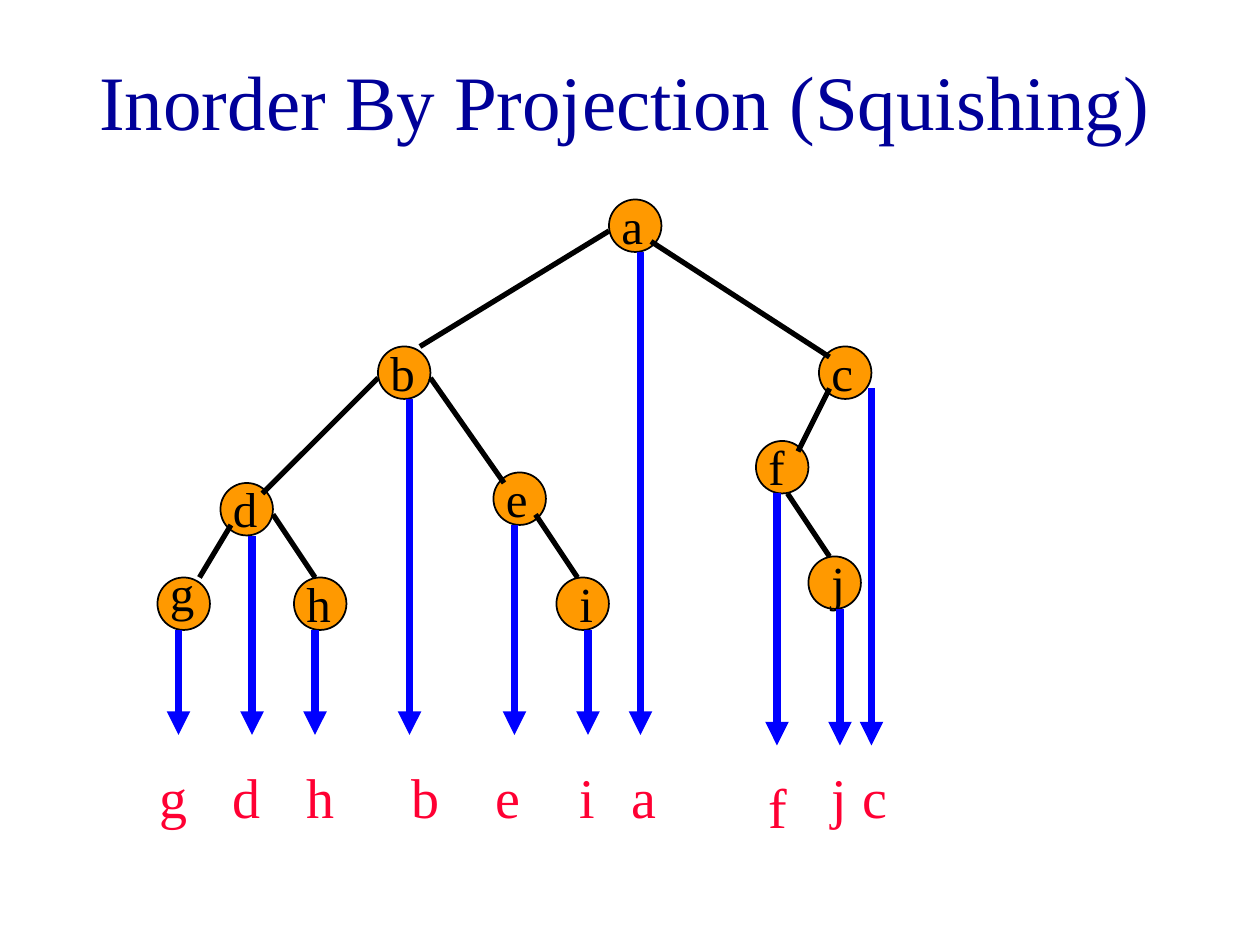
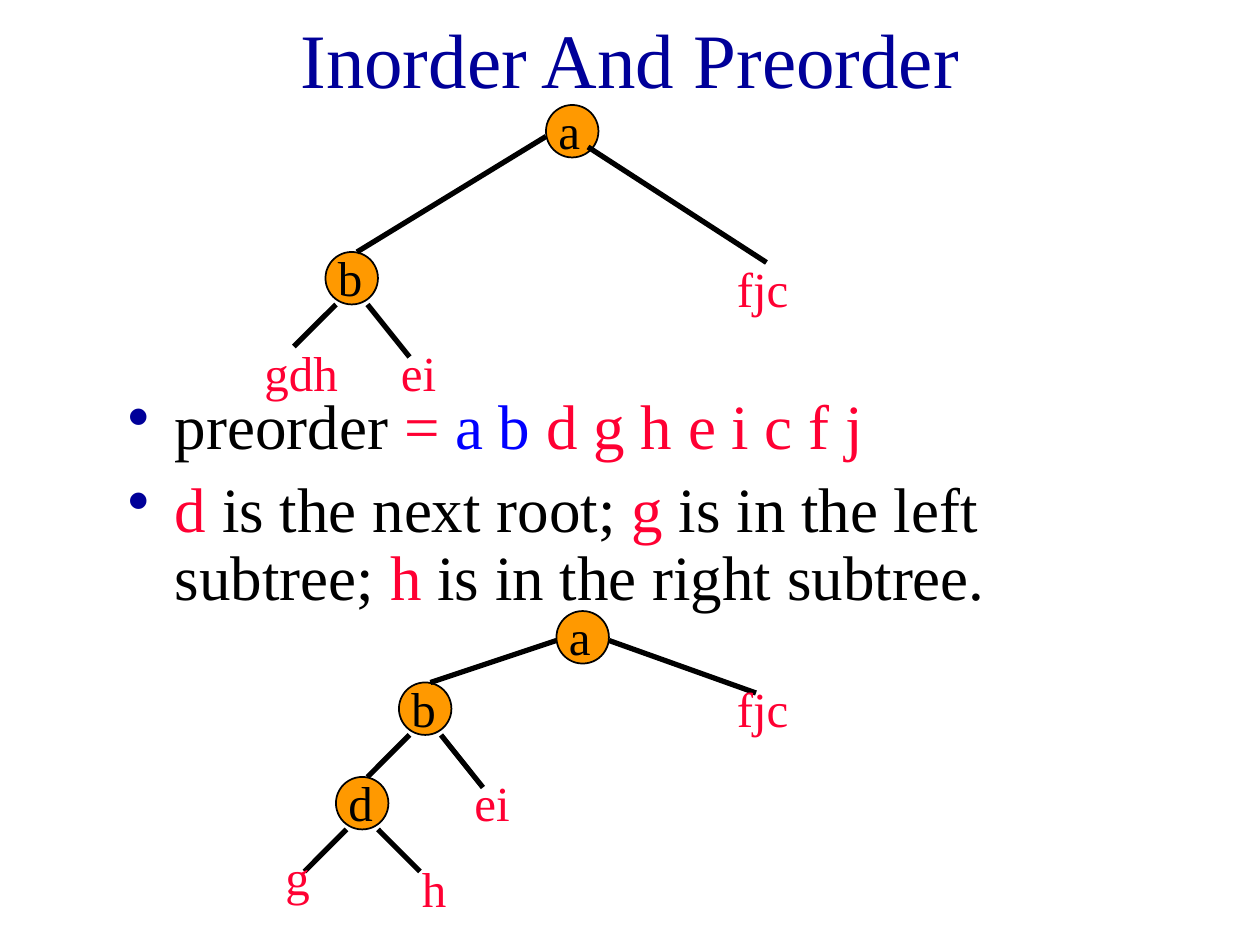
"""Build two slides on rebuilding a binary tree from its traversals."""
from dataclasses import dataclass

from lxml import etree
from pptx import Presentation
from pptx.dml.color import RGBColor
from pptx.enum.shapes import MSO_CONNECTOR, MSO_SHAPE
from pptx.enum.text import MSO_ANCHOR, PP_ALIGN
from pptx.oxml.ns import qn
from pptx.util import Cm, Pt

STRAIGHT = MSO_CONNECTOR.STRAIGHT
OVAL = MSO_SHAPE.OVAL
TOP, MIDDLE = MSO_ANCHOR.TOP, MSO_ANCHOR.MIDDLE
LEFT, CENTER = PP_ALIGN.LEFT, PP_ALIGN.CENTER


@dataclass(frozen=True)
class Theme:
    font: str = "Times New Roman"
    navy: str = "000099"
    black: str = "000000"
    orange: str = "FF9900"
    red: str = "FF0033"
    blue: str = "0000FF"
    title_size: int = 44
    body_size: int = 36
    output_size: int = 32
    label_size: int = 28
    outline: float = 1
    edge: float = 3
    projection: float = 4.5


THEME = Theme()

# Every position below counts twelfths of an inch.
NODE_SIZE = 5
LABEL_WIDTH, LABEL_HEIGHT = 10, 6.8
LABEL_SHIFT = (0, -1)

PROJECTION_TITLE = ("Inorder By Projection (Squishing)", (4, 2, 111, 15))
PREORDER_TITLE = ("Inorder And Preorder", (9, 2, 102, 7))

FULL_TREE = {
    "nodes": {
        "a": (58, 19), "b": (36, 33), "c": (78, 33), "d": (21, 46), "e": (47, 45),
        "f": (72, 42), "g": (15, 55), "h": (28, 55), "i": (53, 55), "j": (77, 53),
    },
    "shifts": {"g": (0, -2), "i": (1, -1), "j": (1, -1)},
    "edges": [
        (58, 22, 40, 33), (62, 23, 79, 34), (36, 36, 25, 47),
        (41, 36, 48, 46), (79, 37, 76, 43), (22, 50, 19, 55),
        (26, 49, 30, 55), (51, 49, 55, 55), (75, 47, 79, 53),
    ],
}

# Letter, its left and top, then the arrow's x, start and end.
INORDER = [
    ("g", 14, 72, 17, 60, 70), ("d", 21, 72, 24, 51, 70),
    ("h", 28, 72, 30, 60, 70), ("b", 38, 72, 39, 38, 70),
    ("e", 46, 72, 49, 50, 70), ("i", 54, 72, 56, 60, 70),
    ("a", 59, 72, 61, 24, 70), ("f", 72, 73, 74, 47, 71),
    ("j", 78, 72, 80, 58, 71), ("c", 81, 72, 83, 37, 71),
]

TREE_BEFORE = {
    "nodes": {"a": (52, 10), "b": (31, 24)},
    "edges": [(52, 13, 34, 24), (56, 14, 73, 25), (32, 29, 28, 33), (35, 29, 39, 34)],
    "subtrees": {"gdh": (24, 32), "ei": (37, 32), "fjc": (69, 24)},
}

TREE_AFTER = {
    "nodes": {"a": (53, 58.2), "b": (38, 65), "d": (32, 74)},
    "edges": [
        (53, 61, 41, 65), (58, 61, 72, 66), (39, 70, 35, 74),
        (42, 70, 46, 75), (33, 79, 29, 83), (36, 79, 40, 83),
    ],
    "subtrees": {"g": (26, 80), "h": (39, 81.2), "ei": (44, 73), "fjc": (69, 64)},
}

STEP_BOX = (11, 37, 102, 24)
STEPS = [
    [("preorder", THEME.black), (" = ", THEME.red), ("a b", THEME.blue),
     (" d g h e i c f j", THEME.red)],
    [("d", THEME.red), (" is the next root; ", THEME.black), ("g", THEME.red),
     (" is in the left subtree; ", THEME.black), ("h", THEME.red),
     (" is in the right subtree.", THEME.black)],
]


def grid(twelfths):
    return Cm(twelfths * 2.54 / 12)


def rgb(color):
    return RGBColor.from_string(color)


def add_bullet(paragraph):
    properties = paragraph._p.get_or_add_pPr()
    properties.set("marL", str(Cm(0.95)))
    properties.set("indent", str(-Cm(0.95)))
    bullet_color = etree.SubElement(properties, qn("a:buClr"))
    etree.SubElement(bullet_color, qn("a:srgbClr"), val=THEME.navy)
    etree.SubElement(properties, qn("a:buChar"), char="•")


def add_text(slide, content, box, *, size=THEME.label_size, color=THEME.black,
             align=LEFT, anchor=TOP, bullets=False):
    """Write a string, or a list of paragraphs made of (text, color) runs."""
    frame = slide.shapes.add_textbox(*map(grid, box)).text_frame
    frame.word_wrap = True
    frame.vertical_anchor = anchor
    paragraphs = [[(content, color)]] if isinstance(content, str) else content
    for index, runs in enumerate(paragraphs):
        paragraph = frame.add_paragraph() if index else frame.paragraphs[0]
        paragraph.alignment = align
        if bullets:
            paragraph.line_spacing = 0.9
            paragraph.space_before = Pt(9)
            add_bullet(paragraph)
        for text, run_color in runs:
            run = paragraph.add_run()
            run.text = text
            run.font.name = THEME.font
            run.font.size = Pt(size)
            run.font.color.rgb = rgb(run_color)


def add_line(slide, ends, color, width, arrow=False):
    connector = slide.shapes.add_connector(STRAIGHT, *map(grid, ends))
    connector.line.color.rgb = rgb(color)
    connector.line.width = Pt(width)
    if arrow:
        etree.SubElement(connector.line._get_or_add_ln(), qn("a:tailEnd"), type="triangle")
    etree.SubElement(connector._element.spPr, qn("a:effectLst"))


def add_node(slide, left, top):
    node = slide.shapes.add_shape(OVAL, *map(grid, (left, top, NODE_SIZE, NODE_SIZE)))
    node.shadow.inherit = False
    node.fill.solid()
    node.fill.fore_color.rgb = rgb(THEME.orange)
    node.line.color.rgb = rgb(THEME.black)
    node.line.width = Pt(THEME.outline)


def add_tree(slide, tree):
    for left, top in tree["nodes"].values():
        add_node(slide, left, top)
    for ends in tree["edges"]:
        add_line(slide, ends, THEME.black, THEME.edge)
    for letter, (left, top) in tree["nodes"].items():
        dx, dy = tree.get("shifts", {}).get(letter, LABEL_SHIFT)
        add_text(slide, letter, (left + dx, top + dy, LABEL_WIDTH, LABEL_HEIGHT))
    for letters, corner in tree.get("subtrees", {}).items():
        add_text(slide, letters, (*corner, LABEL_WIDTH, LABEL_HEIGHT), color=THEME.red)


def add_titled_slide(deck, title):
    slide = deck.slides.add_slide(deck.slide_layouts[6])
    add_text(slide, *title, size=THEME.title_size, color=THEME.navy,
             align=CENTER, anchor=MIDDLE)
    return slide


def build_projection(deck):
    slide = add_titled_slide(deck, PROJECTION_TITLE)
    add_tree(slide, FULL_TREE)
    for letter, left, top, x, start, end in INORDER:
        add_text(slide, letter, (left, top, 5, 7.7), size=THEME.output_size, color=THEME.red)
        add_line(slide, (x, start, x, end), THEME.blue, THEME.projection, arrow=True)


def build_preorder(deck):
    slide = add_titled_slide(deck, PREORDER_TITLE)
    add_text(slide, STEPS, STEP_BOX, size=THEME.body_size, bullets=True)
    add_tree(slide, TREE_BEFORE)
    add_tree(slide, TREE_AFTER)


def main():
    deck = Presentation()
    deck.slide_width, deck.slide_height = Cm(25.4), Cm(19.05)
    build_projection(deck)
    build_preorder(deck)
    deck.save("out.pptx")


if __name__ == "__main__":
    main()
